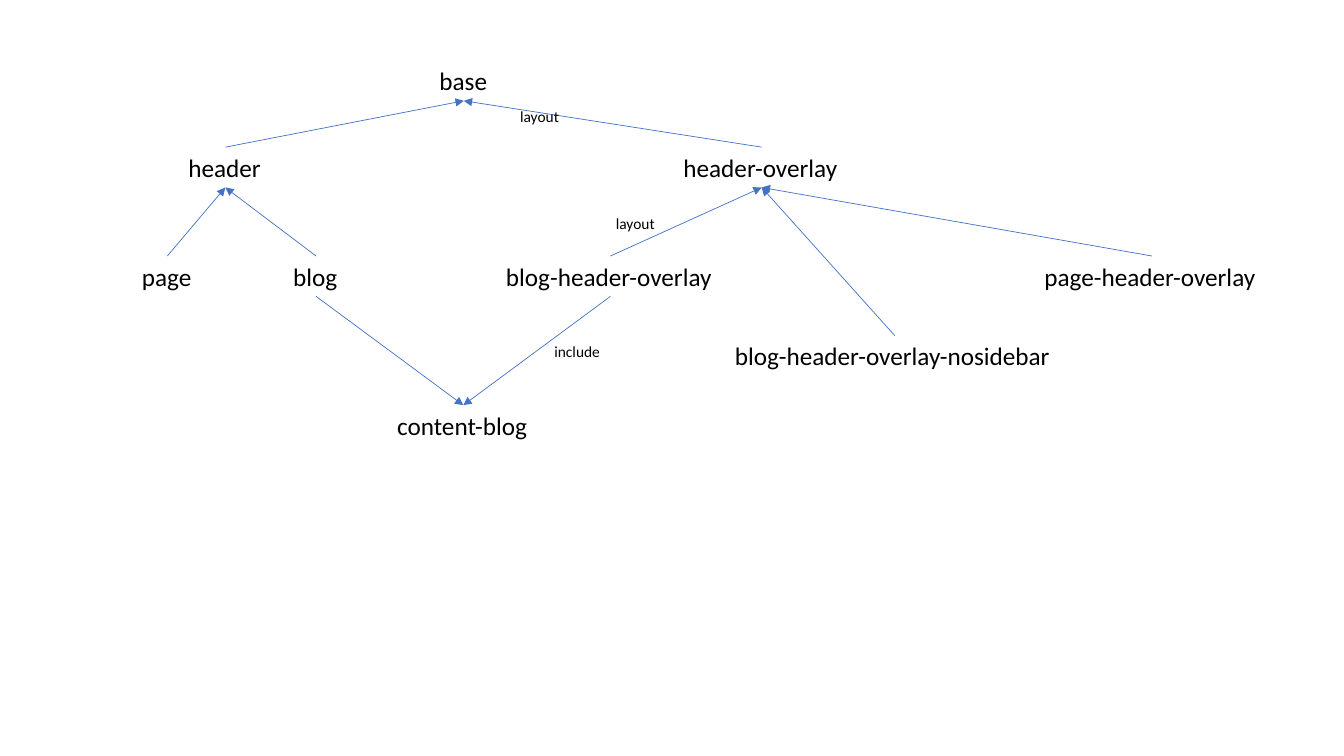
from dataclasses import dataclass

from lxml.etree import SubElement
from pptx import Presentation
from pptx.dml.color import RGBColor
from pptx.enum.shapes import MSO_CONNECTOR
from pptx.enum.text import MSO_AUTO_SIZE
from pptx.oxml.ns import qn
from pptx.util import Inches, Pt


@dataclass(frozen=True)
class Theme:
    """Hold the colours, font and sizes of the slide."""
    font: str = "Calibri"
    ink: RGBColor = RGBColor(0, 0, 0)
    line: RGBColor = RGBColor(0x44, 0x72, 0xC4)
    node: Pt = Pt(18)
    label: Pt = Pt(11)
    stroke: Pt = Pt(0.5)


THEME = Theme()
TOP, BOTTOM = 0, 2
NODE_TALL, LABEL_TALL = 0.4, 0.29

NODES = {
    "base": (4.26, 0.6, 0.68),
    "header": (1.77, 1.46, 0.93),
    "header-overlay": (6.68, 1.46, 1.75),
    "page": (1.31, 2.54, 0.7),
    "blog": (2.81, 2.54, 0.65),
    "blog-header-overlay": (4.92, 2.54, 2.27),
    "page-header-overlay": (10.26, 2.54, 2.33),
    "blog-header-overlay-nosidebar": (7.19, 3.33, 3.37),
    "content-blog": (3.84, 4.02, 1.51),
}

LAYOUTS = [
    ("header", "base"),
    ("header-overlay", "base"),
    ("page", "header"),
    ("blog", "header"),
    ("blog-header-overlay", "header-overlay"),
    ("page-header-overlay", "header-overlay"),
    ("blog-header-overlay-nosidebar", "header-overlay"),
]

INCLUDES = [
    ("blog", "content-blog"),
    ("blog-header-overlay", "content-blog"),
]

LABELS = [
    ("layout", (5.06, 1.01, 0.59)),
    ("layout", (6.01, 2.07, 0.59)),
    ("include", (5.4, 3.34, 0.66)),
]


def add_text(slide, text, place, tall, size):
    """Add a one-line text box that fits its text."""
    left, top, wide = place
    box = slide.shapes.add_textbox(
        Inches(left), Inches(top), Inches(wide), Inches(tall))
    frame = box.text_frame
    frame.word_wrap = False
    frame.auto_size = MSO_AUTO_SIZE.SHAPE_TO_FIT_TEXT
    frame.text = text
    font = frame.paragraphs[0].font
    font.name, font.size = THEME.font, size
    font.color.rgb = THEME.ink
    return box


def add_arrow(slide, start, start_site, end, end_site):
    """Join two boxes with a thin arrow."""
    arrow = slide.shapes.add_connector(MSO_CONNECTOR.STRAIGHT, 0, 0, 0, 0)
    arrow.begin_connect(start, start_site)
    arrow.end_connect(end, end_site)
    arrow.line.color.rgb = THEME.line
    arrow.line.width = THEME.stroke
    props = arrow.element.spPr
    SubElement(props.find(qn("a:ln")), qn("a:tailEnd"), type="triangle")
    SubElement(props, qn("a:effectLst"))


def main():
    """Build the template tree slide."""
    deck = Presentation()
    deck.slide_width, deck.slide_height = Inches(13.33), Inches(7.5)
    slide = deck.slides.add_slide(deck.slide_layouts[6])

    boxes = {name: add_text(slide, name, place, NODE_TALL, THEME.node)
             for name, place in NODES.items()}
    for child, parent in LAYOUTS:
        add_arrow(slide, boxes[child], TOP, boxes[parent], BOTTOM)
    for user, part in INCLUDES:
        add_arrow(slide, boxes[user], BOTTOM, boxes[part], TOP)
    for text, place in LABELS:
        add_text(slide, text, place, LABEL_TALL, THEME.label)

    deck.save("out.pptx")


main()
